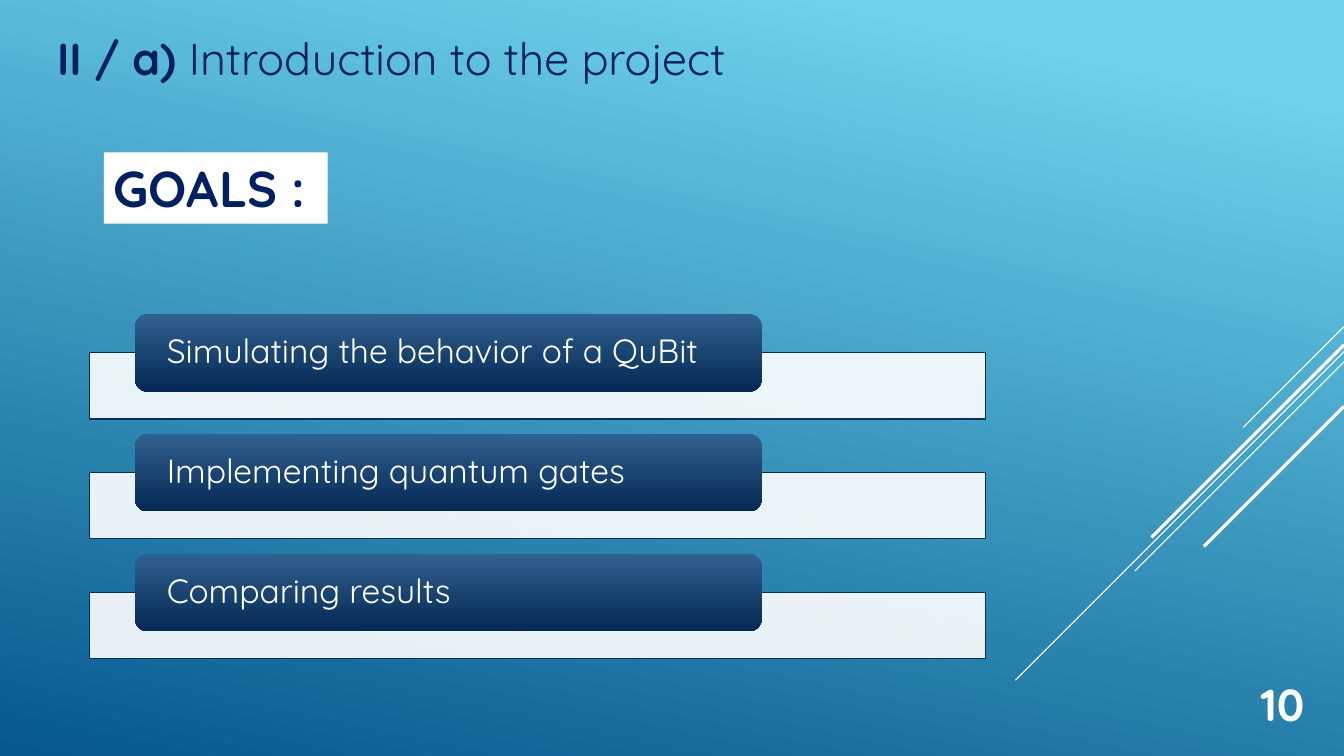
"""Build the project introduction slide listing the three goals."""
import lxml.etree
import pptx
import pptx.dml.color
import pptx.enum.dml
import pptx.enum.shapes
import pptx.enum.text
import pptx.oxml.ns
import pptx.util

Cm = pptx.util.Cm
Pt = pptx.util.Pt
SHAPES = pptx.enum.shapes.MSO_SHAPE

TITLE = [("II / a) ", True), ("Introduction to the project", False)]
HEADING = [("GOALS :", True)]
GOALS = [
    "Simulating the behavior of a QuBit",
    "Implementing quantum gates",
    "Comparing results",
]
PAGE_NUMBER = [("10", True)]

# DIAGONALS = (top, reach, weight)
DIAGONALS = [
    (8.23, 2.54, 0.75),
    (8.86, 8.28, 0.75),
    (9.12, 5.27, 0.75),
    (8.69, 4.85, 2.25),
    (10.24, 3.53, 2.25),
]

THEME = {
    "font": "Quicksand",
    "navy": "002060",
    "white": "FFFFFF",
    "outline": "052F61",
    "sky": [(0.1, "6ED2EB"), (1, "06588E")],
    "label": [(0, "316190"), (1, "042853")],
    "title_size": 32,
    "heading_size": 36,
    "goal_size": 24,
    "bar_opacity": 90,
}
PAGE_WIDTH, PAGE_HEIGHT = 33.87, 19.05
BAR = (2.26, 8.88, 22.58, 1.68)
LABEL = (3.4, 7.91, 15.8, 1.96)
GOAL_PITCH = 3.02


def color(name):
    return pptx.dml.color.RGBColor.from_string(THEME[name])


def paint_gradient(fill, stops, angle):
    fill.gradient()
    fill.gradient_angle = 360 - angle
    for stop, (position, value) in zip(fill.gradient_stops, stops):
        stop.position = position
        stop.color.rgb = pptx.dml.color.RGBColor.from_string(value)


def add_box(page, kind, left, top, width, height):
    box = page.shapes.add_shape(kind, Cm(left), Cm(top), Cm(width), Cm(height))
    box.shadow.inherit = False
    box.line.fill.background()
    return box


def write(box, runs, size, ink):
    frame = box.text_frame
    frame.word_wrap = True
    para = frame.paragraphs[0]
    para.alignment = pptx.enum.text.PP_ALIGN.LEFT
    for text, bold in runs:
        span = para.add_run()
        span.text = text
        span.font.name = THEME["font"]
        span.font.size = Pt(THEME[size])
        span.font.bold = bold
        span.font.color.rgb = color(ink)
    return frame


def add_text(page, place, runs, size, ink):
    box = page.shapes.add_textbox(*(Cm(value) for value in place))
    write(box, runs, size, ink)


def add_diagonal(page, top, reach, weight):
    line = page.shapes.add_connector(
        pptx.enum.shapes.MSO_CONNECTOR.STRAIGHT,
        Cm(PAGE_WIDTH), Cm(top), Cm(PAGE_WIDTH - reach), Cm(top + reach),
    )
    line.line.color.rgb = color("white")
    line.line.width = Pt(weight)
    properties = line._element.spPr
    lxml.etree.SubElement(properties, pptx.oxml.ns.qn("a:effectLst"))


def add_goal(page, index, goal):
    shift = index * GOAL_PITCH
    left, top, width, height = BAR
    bar = add_box(page, SHAPES.RECTANGLE, left, top + shift, width, height)
    bar.fill.solid()
    bar.fill.fore_color.rgb = color("white")
    tint = bar._element.spPr.find(".//" + pptx.oxml.ns.qn("a:srgbClr"))
    alpha = lxml.etree.SubElement(tint, pptx.oxml.ns.qn("a:alpha"))
    alpha.set("val", str(THEME["bar_opacity"] * 1000))
    bar.line.color.rgb = color("outline")
    bar.line.width = Pt(0.75)

    left, top, width, height = LABEL
    label = add_box(page, SHAPES.ROUNDED_RECTANGLE, left, top + shift, width, height)
    paint_gradient(label.fill, THEME["label"], 90)
    frame = write(label, [(goal, False)], "goal_size", "white")
    frame.margin_left = frame.margin_right = Cm(0.71)
    frame.margin_top = frame.margin_bottom = Cm(0)
    frame.vertical_anchor = pptx.enum.text.MSO_ANCHOR.MIDDLE
    frame.paragraphs[0].line_spacing = 0.9


def main():
    deck = pptx.Presentation()
    deck.slide_width, deck.slide_height = Cm(PAGE_WIDTH), Cm(PAGE_HEIGHT)
    page = deck.slides.add_slide(deck.slide_layouts[6])
    paint_gradient(page.background.fill, THEME["sky"], 102)

    for diagonal in DIAGONALS:
        add_diagonal(page, *diagonal)
    add_text(page, (1.19, 0.64, 30.07, 1.63), TITLE, "title_size", "navy")
    for index, goal in enumerate(GOALS):
        add_goal(page, index, goal)

    heading = add_box(page, SHAPES.RECTANGLE, 2.62, 3.84, 5.64, 1.8)
    heading.fill.solid()
    heading.fill.fore_color.rgb = color("white")
    frame = write(heading, HEADING, "heading_size", "navy")
    frame.vertical_anchor = pptx.enum.text.MSO_ANCHOR.TOP
    add_text(page, (31.52, 16.92, 2.03, 1.63), PAGE_NUMBER, "title_size", "white")

    deck.save("out.pptx")


if __name__ == "__main__":
    main()
